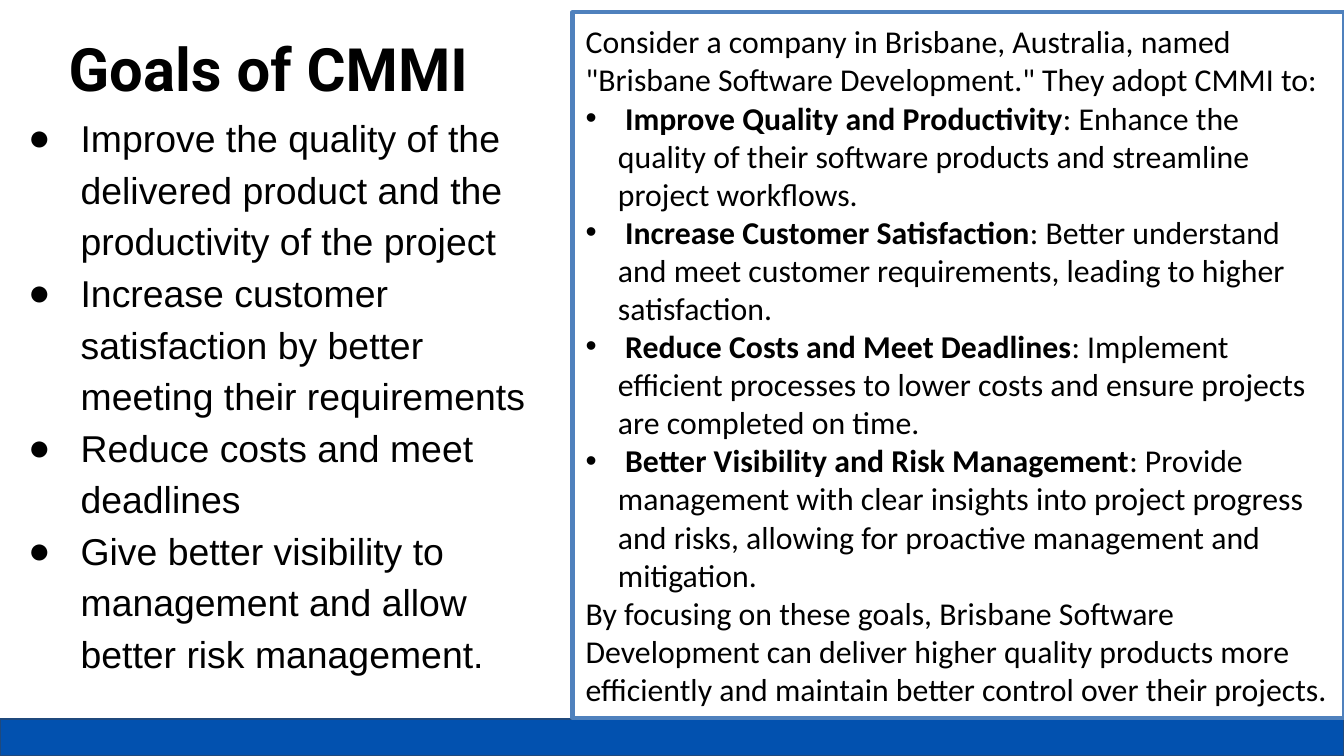
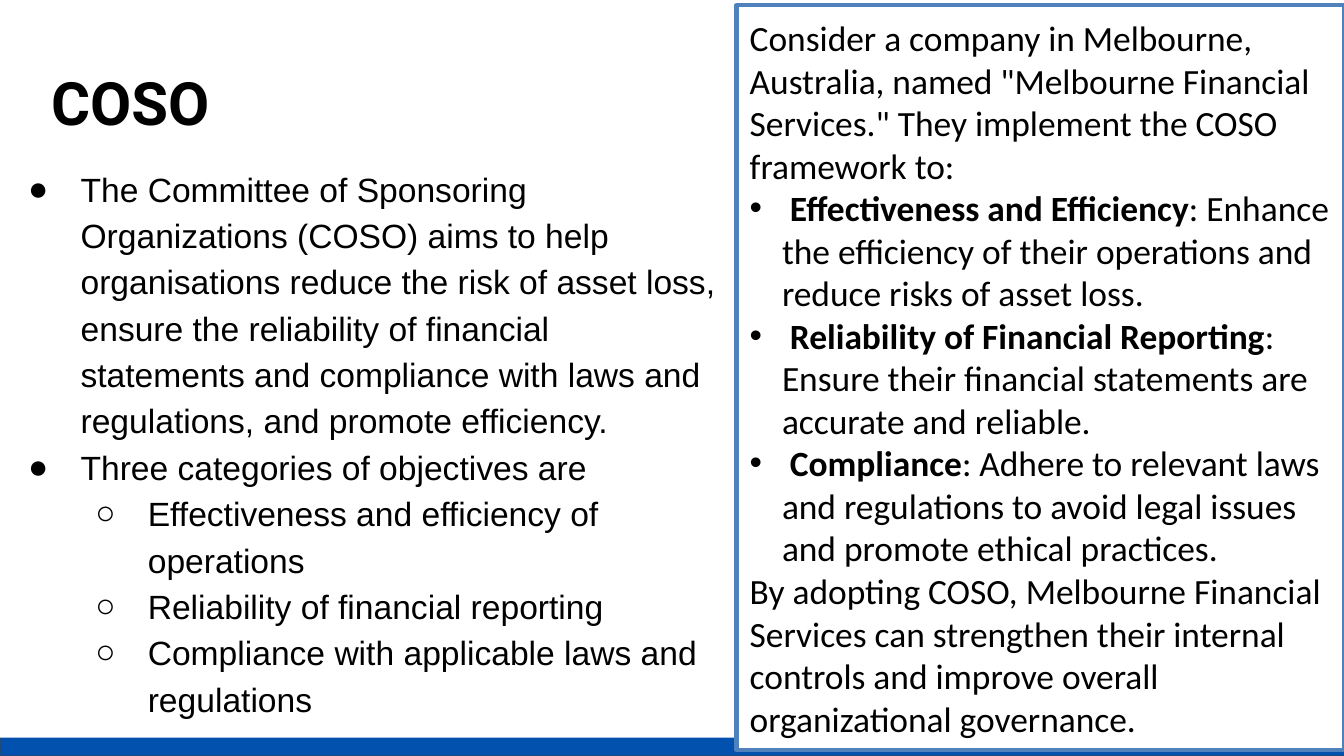
from lxml.etree import SubElement
from pptx import Presentation
from pptx.dml.color import RGBColor
from pptx.enum.shapes import MSO_SHAPE as Shape
from pptx.enum.text import MSO_ANCHOR as Anchor, MSO_AUTO_SIZE as AutoSize, PP_ALIGN as Align
from pptx.oxml.ns import qn
from pptx.util import Pt

# Shared style
EMU_PER_PX = 4572  # 200 px to the inch
WIDTH, HEIGHT = 2000, 1125
BAND_TOP = 1070
BLACK = RGBColor(0x00, 0x00, 0x00)
WHITE = RGBColor(0xFF, 0xFF, 0xFF)
BAND_BLUE = RGBColor(0x02, 0x51, 0xAF)
BAND_EDGE = RGBColor(0x1F, 0x49, 0x7D)
BOX_EDGE = RGBColor(0x4F, 0x81, 0xBD)
TITLE_FONT, LIST_FONT, EXAMPLE_FONT = "Roboto", "Arial", "Calibri"
LIST_BULLETS = "●○"


def px(length):
    return length * EMU_PER_PX


class Deck:
    """Holds the style and the current slide."""

    def __init__(self):
        self.presentation = Presentation()
        self.presentation.slide_width = px(WIDTH)
        self.presentation.slide_height = px(HEIGHT)
        self.slide = None

    def add_slide(self):
        self.slide = self.presentation.slides.add_slide(self.presentation.slide_layouts[1])
        self.band()

    def rectangle(self, left, top, width, height, fill, edge, edge_width):
        shape = self.slide.shapes.add_shape(
            Shape.RECTANGLE, px(left), px(top), px(width), px(height))
        shape.shadow.inherit = False
        shape.fill.solid()
        shape.fill.fore_color.rgb = fill
        shape.line.color.rgb = edge
        shape.line.width = Pt(edge_width)
        return shape

    def band(self):
        shape = self.rectangle(0, BAND_TOP, WIDTH, HEIGHT - BAND_TOP, BAND_BLUE, BAND_EDGE, 0.75)
        # Behind the placeholders
        self.slide.shapes._spTree.insert(2, shape._element)

    def place(self, shape, left, top, width, height):
        shape.left, shape.top = px(left), px(top)
        shape.width, shape.height = px(width), px(height)

    def frame(self, shape, inset_x, inset_y, anchor):
        text_frame = shape.text_frame
        text_frame.word_wrap = True
        text_frame.auto_size = AutoSize.NONE
        text_frame.vertical_anchor = anchor
        text_frame.margin_left = text_frame.margin_right = px(inset_x)
        text_frame.margin_top = text_frame.margin_bottom = px(inset_y)
        return text_frame

    def bullet(self, paragraph, character, left, hanging):
        properties = paragraph._p.get_or_add_pPr()
        properties.set("marL", str(px(left)))
        properties.set("indent", str(-px(hanging)))
        SubElement(properties, qn("a:buFont")).set("typeface", LIST_FONT)
        SubElement(properties, qn("a:buChar")).set("char", character)

    def format(self, paragraph, font, size, line_spacing=1.0):
        paragraph.alignment = Align.LEFT
        paragraph.line_spacing = line_spacing
        paragraph.space_before = paragraph.space_after = Pt(0)
        for run in paragraph.runs:
            run.font.name = font
            run.font.size = Pt(size)
            run.font.color.rgb = BLACK

    def title(self, text, left, top):
        shape = self.slide.shapes.title
        self.place(shape, left, top, 1794, 108)
        text_frame = self.frame(shape, 0, 0, Anchor.TOP)
        text_frame.text = text
        paragraph = text_frame.paragraphs[0]
        self.format(paragraph, TITLE_FONT, 32, 1.2)
        paragraph.runs[0].font.bold = True

    def bullet_list(self, items, top, width, height, size):
        """Items are (level, text) pairs."""
        shape = self.slide.placeholders[1]
        self.place(shape, 0, top, width, height)
        shape.fill.solid()
        shape.fill.fore_color.rgb = WHITE
        text_frame = self.frame(shape, 20, 20, Anchor.TOP)
        text_frame.text = "\n".join(text for _, text in items)
        for paragraph, (level, _) in zip(text_frame.paragraphs, items):
            paragraph.level = level
            self.bullet(paragraph, LIST_BULLETS[level], 100 * (level + 1), 78)
            self.format(paragraph, LIST_FONT, size, 1.15)

    def example_box(self, intro, goals, closing, left, top, height, size):
        """Goals are (name, explanation) pairs between two plain paragraphs."""
        shape = self.rectangle(left, top, WIDTH - left, height, WHITE, BOX_EDGE, 2.25)
        text_frame = self.frame(shape, 20, 10, Anchor.MIDDLE)
        text_frame.text = intro
        for name, explanation in goals:
            paragraph = text_frame.add_paragraph()
            self.bullet(paragraph, "•", 48, 48)
            name_run = paragraph.add_run()
            name_run.text = f" {name}"
            name_run.font.bold = True
            paragraph.add_run().text = f": {explanation}"
        text_frame.add_paragraph().text = closing
        for paragraph in text_frame.paragraphs:
            self.format(paragraph, EXAMPLE_FONT, size)


def main():
    deck = Deck()

    # Goals of CMMI
    deck.add_slide()
    deck.title("Goals of CMMI", 102, 26)
    deck.bullet_list([
        (0, "Improve the quality of the delivered product and the productivity of the project"),
        (0, "Increase customer satisfaction by better meeting their requirements"),
        (0, "Reduce costs and meet deadlines"),
        (0, "Give better visibility to management and allow better risk management."),
    ], top=142, width=852, height=926, size=20)
    deck.example_box(
        "Consider a company in Brisbane, Australia, named \"Brisbane Software Development.\" "
        "They adopt CMMI to:",
        [
            ("Improve Quality and Productivity",
             "Enhance the quality of their software products and streamline project workflows."),
            ("Increase Customer Satisfaction",
             "Better understand and meet customer requirements, leading to higher satisfaction."),
            ("Reduce Costs and Meet Deadlines",
             "Implement efficient processes to lower costs and ensure projects are completed "
             "on time."),
            ("Better Visibility and Risk Management",
             "Provide management with clear insights into project progress and risks, allowing "
             "for proactive management and mitigation."),
        ],
        "By focusing on these goals, Brisbane Software Development can deliver higher quality "
        "products more efficiently and maintain better control over their projects.",
        left=852, top=18, height=1050, size=17)

    # COSO
    deck.add_slide()
    deck.title("COSO", 76, 76)
    deck.bullet_list([
        (0, "The Committee of Sponsoring Organizations (COSO) aims to help organisations reduce "
            "the risk of asset loss, ensure the reliability of financial statements and "
            "compliance with laws and regulations, and promote efficiency."),
        (0, "Three categories of objectives are"),
        (1, "Effectiveness and efficiency of operations"),
        (1, "Reliability of financial reporting"),
        (1, "Compliance with applicable laws and regulations"),
    ], top=222, width=1096, height=876, size=18)
    deck.example_box(
        "Consider a company in Melbourne, Australia, named \"Melbourne Financial Services.\" "
        "They implement the COSO framework to:",
        [
            ("Effectiveness and Efficiency",
             "Enhance the efficiency of their operations and reduce risks of asset loss."),
            ("Reliability of Financial Reporting",
             "Ensure their financial statements are accurate and reliable."),
            ("Compliance",
             "Adhere to relevant laws and regulations to avoid legal issues and promote ethical "
             "practices."),
        ],
        "By adopting COSO, Melbourne Financial Services can strengthen their internal controls "
        "and improve overall organizational governance.",
        left=1096, top=8, height=1108, size=19)

    deck.presentation.save("out.pptx")


if __name__ == "__main__":
    main()
